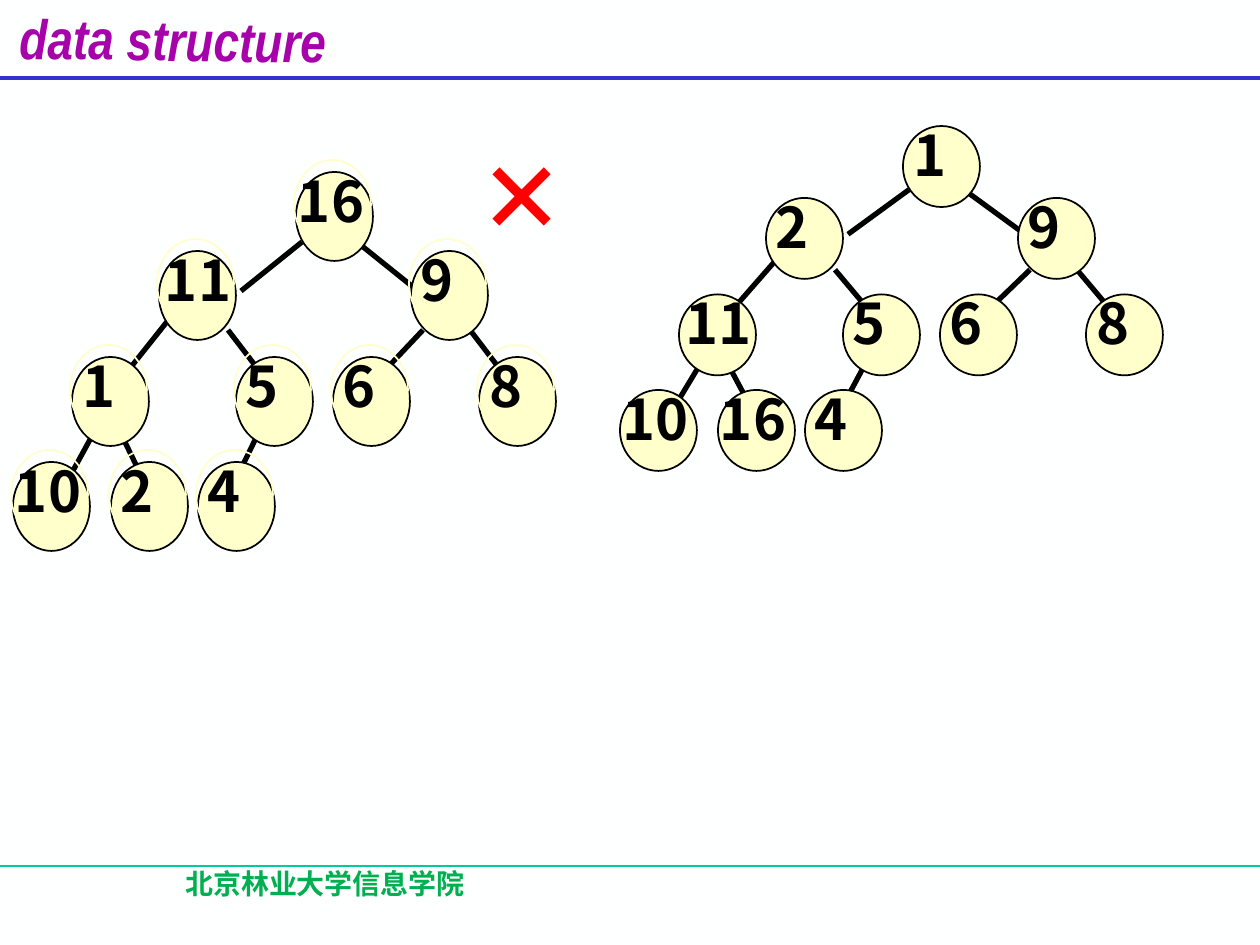
import pptx
import pptx.dml.color
import pptx.enum.shapes
import pptx.enum.text
import pptx.oxml.ns
import pptx.util
from lxml import etree

SCALE = 914400 / 126  # EMU per px
COLORS = {
    "background": "FEFFFF", "title": "A603AB", "header": "3333CC", "rule": "00CC99",
    "school": "00B050", "node": "FFFFCC", "ink": "000000", "cross": "FF0000",
}
ALIGN = pptx.enum.text.PP_ALIGN
OVAL = pptx.enum.shapes.MSO_SHAPE.OVAL


def add_line(shapes, points, color, width):
    x1, y1, x2, y2 = [round(value * SCALE) for value in points]
    line = shapes.add_connector(pptx.enum.shapes.MSO_CONNECTOR.STRAIGHT, x1, y1, x2, y2)
    line.line.color.rgb = pptx.dml.color.RGBColor.from_string(COLORS[color])
    line.line.width = pptx.util.Pt(width)
    etree.SubElement(line._element.spPr, pptx.oxml.ns.qn("a:effectLst"))


def write_text(shape, text, color, formats, align=ALIGN.LEFT):
    frame = shape.text_frame
    frame.word_wrap = True
    frame.auto_size = pptx.enum.text.MSO_AUTO_SIZE.NONE
    frame.vertical_anchor = pptx.enum.text.MSO_ANCHOR.TOP
    paragraph = frame.paragraphs[0]
    paragraph.alignment = align
    run = paragraph.add_run()
    run.text = text
    run.font.color.rgb = pptx.dml.color.RGBColor.from_string(COLORS[color])
    for name, value in formats.items():
        setattr(run.font, name, value)
    east_asian = etree.SubElement(run._r.get_or_add_rPr(), pptx.oxml.ns.qn("a:ea"))
    east_asian.set("typeface", formats["name"])


presentation = pptx.Presentation()
presentation.slide_width = round(1260 * SCALE)
presentation.slide_height = round(945 * SCALE)
slide = presentation.slides.add_slide(presentation.slide_layouts[5])
slide.background.fill.solid()
slide.background.fill.fore_color.rgb = pptx.dml.color.RGBColor.from_string(COLORS["background"])

# Header and footer
add_line(slide.shapes, (0, 866, 1260, 866), "rule", 0.75)
add_line(slide.shapes, (0, 78, 1260, 78), "header", 2.25)
title = slide.shapes.title
title.left, title.top, title.width, title.height = [
    round(value * SCALE) for value in (7, -1, 345, 68)]
title.rotation = 0.8
write_text(title, "data structure", "title",
           {"name": "Arial Narrow", "size": pptx.util.Pt(32), "bold": True, "italic": True})
school = slide.shapes.add_textbox(*[round(value * SCALE) for value in (64, 860, 522, 63)])
write_text(school, "北京林业大学信息学院", "school",
           {"name": "Noto Sans CJK SC", "size": pptx.util.Pt(16), "bold": True}, ALIGN.CENTER)

# Node positions and edges, measured from the left edge and the top of the root
NODES = [(296, 0), (411, 79), (479, 185), (13, 290), (333, 185),
         (111, 290), (159, 79), (72, 185), (236, 185), (198, 290)]
EDGES = [(241, 119, 302, 70), (357, 70, 418, 119), (470, 158, 509, 209),
         (92, 264, 63, 317), (141, 303, 122, 264), (423, 158, 373, 211),
         (228, 158, 267, 209), (170, 146, 131, 195), (257, 264, 238, 303)]
INDENTS = {"10": 0, "16": 0, "11": 4, "1": 9, "8": 9}
# Labels, left shift, root top, vertical stretch, halo around each node
TREES = [
    (["16", "9", "8", "10", "6", "2", "11", "1", "5", "4"], 0, 172, 1, True),
    (["1", "9", "8", "10", "6", "16", "2", "11", "5", "4"], 607, 126, 0.91, False),
]
LABEL_FORMATS = {"name": "Noto Sans CJK SC", "size": pptx.util.Pt(32), "bold": True}

for labels, left, top, stretch, has_halo in TREES:
    tree = slide.shapes.add_group_shape()
    for x1, y1, x2, y2 in EDGES:
        add_line(tree.shapes, (left + x1, top + y1 * stretch, left + x2, top + y2 * stretch),
                 "ink", 3)
    places = [(left + x, top + y * stretch) for x, y in NODES]

    # Filled nodes first, then the pale halos
    ovals = [(x, y, "ink") for x, y in places]
    if has_halo:
        ovals += [(x - 2, y - 12, "node") for x, y in places]
    for x, y, outline in ovals:
        oval = tree.shapes.add_shape(
            OVAL, *[round(value * SCALE) for value in (x, y, 77, 89 * stretch)])
        oval.shadow.inherit = False
        if outline == "ink":
            oval.fill.solid()
            oval.fill.fore_color.rgb = pptx.dml.color.RGBColor.from_string(COLORS["node"])
        else:
            oval.fill.background()
        oval.line.color.rgb = pptx.dml.color.RGBColor.from_string(COLORS[outline])
        oval.line.width = pptx.util.Pt(1)

    # Node labels
    for label, (x, y) in zip(labels, places):
        box = tree.shapes.add_textbox(
            *[round(value * SCALE) for value in (x - 11, y - 12, 108, 81)])
        box.text_frame.margin_left = round((13 + INDENTS.get(label, 8)) * SCALE)
        write_text(box, label, "ink", LABEL_FORMATS)

# Cross beside the first tree
cross = slide.shapes.add_textbox(*[round(value * SCALE) for value in (470, 97, 241, 181)])
write_text(cross, "×", "cross",
           {"name": "Times New Roman", "size": pptx.util.Pt(80), "bold": True})

presentation.save("out.pptx")
